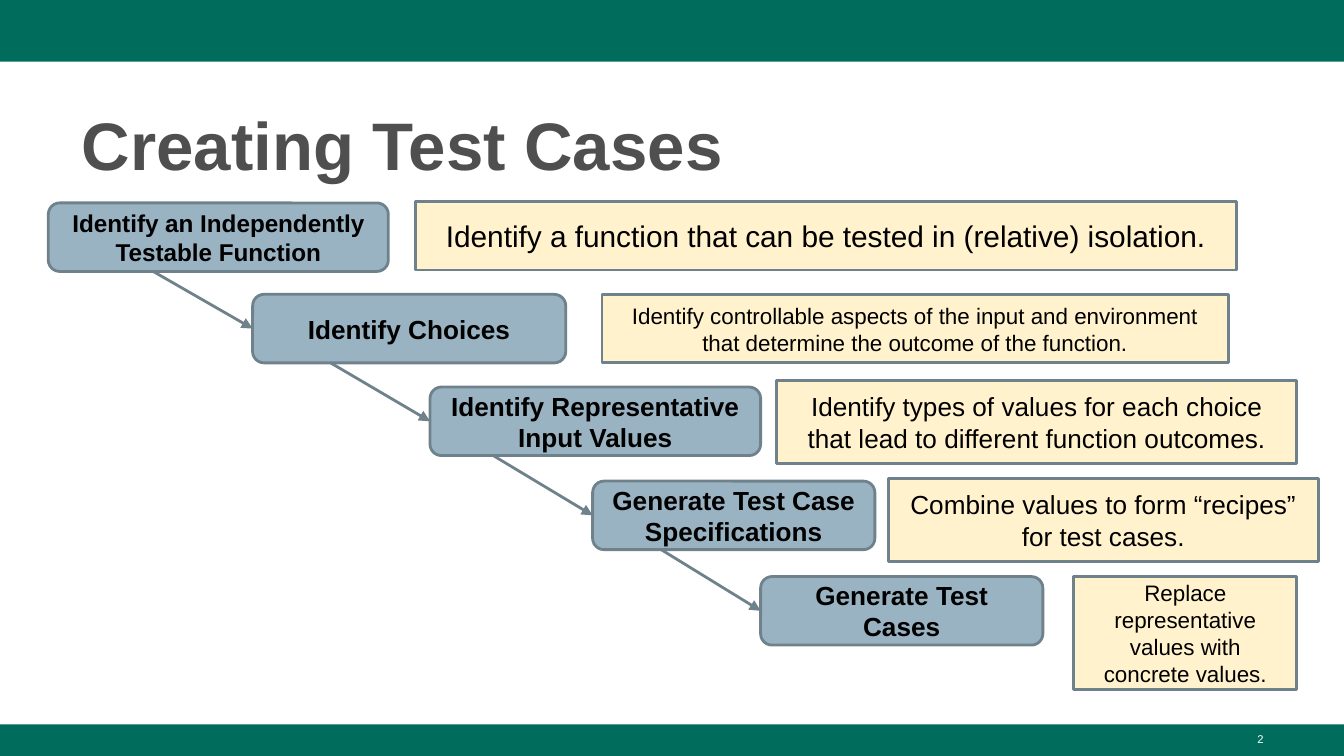
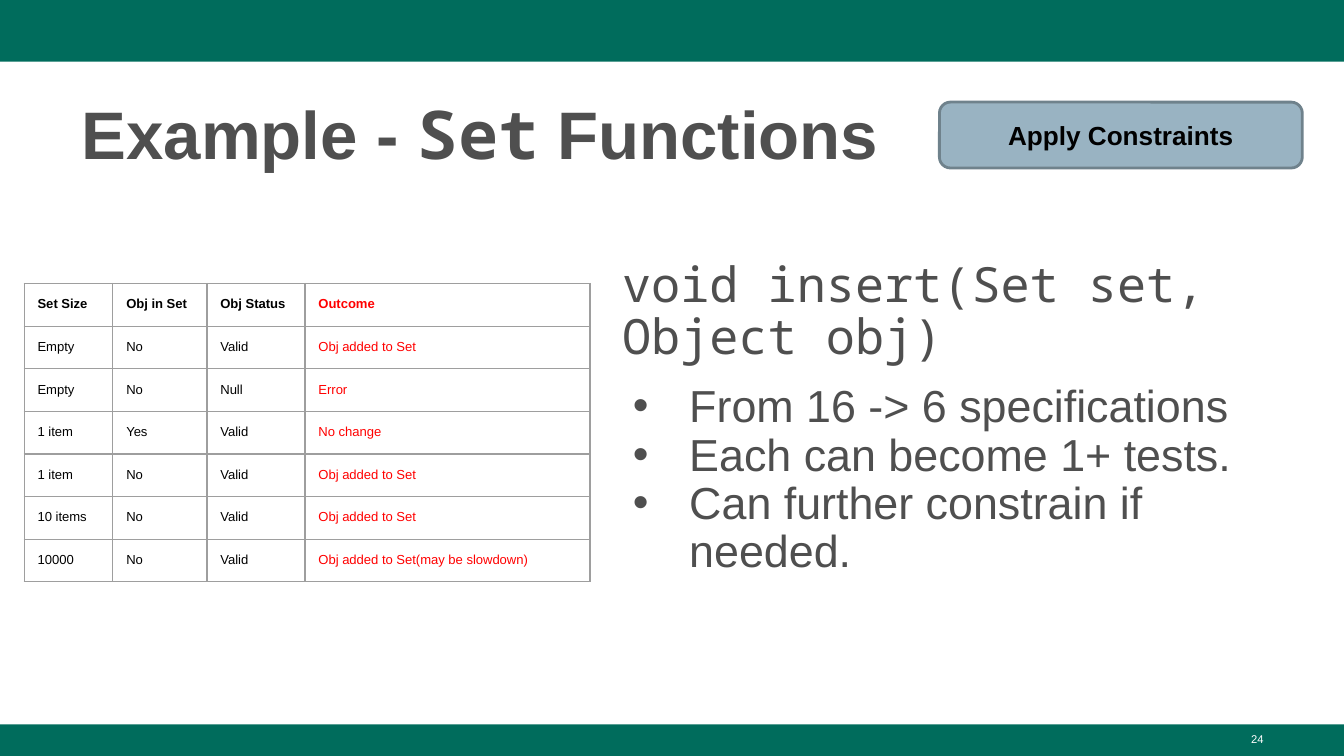
from lxml.etree import SubElement
from pptx import Presentation
from pptx.dml.color import RGBColor
from pptx.enum.shapes import MSO_CONNECTOR as Connector, MSO_SHAPE as Shape
from pptx.enum.text import MSO_ANCHOR as Anchor, PP_ALIGN as Align
from pptx.oxml.ns import qn
from pptx.util import Inches, Pt

GREEN = RGBColor(0x00, 0x6C, 0x5C)
GREY = RGBColor(0x4F, 0x4F, 0x4F)
STEEL = RGBColor(0x99, 0xB3, 0xC2)
OUTLINE = RGBColor(0x6F, 0x82, 0x8C)
CREAM = RGBColor(0xFF, 0xF2, 0xCC)
BLACK = RGBColor(0x00, 0x00, 0x00)
WHITE = RGBColor(0xFF, 0xFF, 0xFF)
RED = RGBColor(0xFF, 0x00, 0x00)
BORDER = RGBColor(0x9E, 0x9E, 0x9E)

SANS = "Arial"
MONO = "Noto Sans Mono"

# The slide is a grid of square cells.
COLUMNS, ROWS = 100, 56.25
CELL = Inches(0.1)


def grid(*counts):
    return [round(count * CELL) for count in counts]


def set_font(font, size, color, bold=False, name=SANS):
    font.name, font.size, font.bold = name, Pt(size), bold
    font.color.rgb = color


def set_insets(target, horizontal=1, vertical=1):
    target.margin_left = target.margin_right = round(horizontal * CELL)
    target.margin_top = target.margin_bottom = round(vertical * CELL)


class Deck:
    def __init__(self):
        self.presentation = Presentation()
        self.presentation.slide_width, self.presentation.slide_height = grid(COLUMNS, ROWS)
        self.slide = None

    def new_slide(self, title_parts, title_top, number):
        """Start a slide with its bands, title and number; title parts are (text, font name)."""
        self.slide = self.presentation.slides.add_slide(self.presentation.slide_layouts[6])
        self.box(Shape.RECTANGLE, 0, 0, COLUMNS, 4.6, GREEN)
        self.box(Shape.RECTANGLE, 0, 53.9, COLUMNS, ROWS - 53.9, GREEN)

        title = self.text_box(5.1, title_top, 89.9, 14 - title_top).paragraphs[0]
        title.line_spacing = 1.08
        for text, font_name in title_parts:
            run = title.add_run()
            run.text = text
            set_font(run.font, 36, GREY, True, font_name)

        footer = self.text_box(71.7, 54, 23.3, 2.25)
        footer.text = str(number)
        footer.paragraphs[0].alignment = Align.RIGHT
        set_font(footer.paragraphs[0].runs[0].font, 6, WHITE)

    def text_box(self, left, top, width, height):
        frame = self.slide.shapes.add_textbox(*grid(left, top, width, height)).text_frame
        frame.word_wrap = True
        set_insets(frame, vertical=0.5)
        return frame

    def box(self, kind, left, top, width, height, fill, line=None):
        shape = self.slide.shapes.add_shape(kind, *grid(left, top, width, height))
        shape.shadow.inherit = False
        shape.fill.solid()
        shape.fill.fore_color.rgb = fill
        if line is None:
            shape.line.fill.background()
        else:
            shape.line.color.rgb = line
            shape.line.width = Pt(1.5)
        return shape

    def label(self, kind, place, fill, text, size, bold=False):
        """Add an outlined box with centred text."""
        shape = self.box(kind, *place, fill, OUTLINE)
        frame = shape.text_frame
        frame.word_wrap = True
        frame.vertical_anchor = Anchor.MIDDLE
        set_insets(frame)
        frame.text = text
        paragraph = frame.paragraphs[0]
        paragraph.alignment = Align.CENTER
        set_font(paragraph.runs[0].font, size, BLACK, bold)
        return shape

    def step(self, place, text, size=14):
        return self.label(Shape.ROUNDED_RECTANGLE, place, STEEL, text, size, True)

    def note(self, place, text, size):
        return self.label(Shape.RECTANGLE, place, CREAM, text, size)

    def step_arrow(self, upper, lower):
        """Join the bottom edge of one step to the left side of the next."""
        start_x = lower.left - round(7.4 * CELL)
        start_y = upper.top + upper.height
        arrow = self.slide.shapes.add_connector(
            Connector.STRAIGHT, start_x, start_y, lower.left, lower.top + lower.height // 2)
        arrow.end_connect(lower, 1)
        arrow.line.color.rgb = OUTLINE
        arrow.line.width = Pt(1.5)
        properties = arrow.line._get_or_add_ln()
        SubElement(properties, qn("a:tailEnd"), type="triangle")
        SubElement(arrow._element.spPr, qn("a:effectLst"))

    def bullet(self, frame, text, size, space_before=0):
        paragraph = frame.add_paragraph()
        paragraph.text = text
        paragraph.line_spacing = 0.9
        paragraph.space_before = Pt(space_before)
        properties = paragraph._p.get_or_add_pPr()
        properties.set("marL", str(Inches(0.5)))
        properties.set("indent", str(Inches(-0.42)))
        color = SubElement(SubElement(properties, qn("a:buClr")), qn("a:srgbClr"))
        color.set("val", str(GREY))
        SubElement(properties, qn("a:buFont"), typeface=SANS)
        SubElement(properties, qn("a:buChar"), char="•")
        set_font(paragraph.runs[0].font, size, GREY)

    def table(self, left, top, column_widths, row_height, rows):
        """Add a bordered table with a bold first row and a red last column."""
        table = self.slide.shapes.add_table(
            len(rows), len(column_widths),
            *grid(left, top, sum(column_widths), row_height * len(rows))).table
        table.first_row = table.horz_banding = False
        for column, width in zip(table.columns, grid(*column_widths)):
            column.width = width
        for row_index, values in enumerate(rows):
            table.rows[row_index].height = round(row_height * CELL)
            for column_index, value in enumerate(values):
                cell = table.cell(row_index, column_index)
                cell.text = value
                set_insets(cell)
                color = RED if column_index == len(values) - 1 else BLACK
                set_font(cell.text_frame.paragraphs[0].runs[0].font, 7, color, row_index == 0)
                self.cell_borders(cell)
                cell.fill.background()

    def cell_borders(self, cell):
        properties = cell._tc.get_or_add_tcPr()
        for side in ("a:lnL", "a:lnR", "a:lnT", "a:lnB"):
            line = SubElement(properties, qn(side), w=str(Pt(0.75)))
            fill = SubElement(line, qn("a:solidFill"))
            SubElement(fill, qn("a:srgbClr"), val=str(BORDER))


def creating_test_cases(deck):
    deck.new_slide([("Creating Test Cases", SANS)], 6.7, 2)
    # Each step: left, top, width, text, size.
    steps = [
        (3.6, 15.1, 25.3, "Identify an Independently Testable Function", 13),
        (18.8, 21.9, 23.3, "Identify Choices", 14),
        (32, 28.8, 24.6, "Identify Representative Input Values", 14),
        (44.1, 35.8, 21, "Generate Test Case Specifications", 14),
        (56.6, 42.9, 21, "Generate Test Cases", 14),
    ]
    boxes = [deck.step((left, top, width, 5.1), text, size)
             for left, top, width, text, size in steps]
    for upper, lower in zip(boxes, boxes[1:]):
        deck.step_arrow(upper, lower)

    notes = [
        ((30.9, 15, 61.1, 5.1),
         "Identify a function that can be tested in (relative) isolation.", 16),
        ((44.8, 21.9, 46.6, 5.1),
         "Identify controllable aspects of the input and environment "
         "that determine the outcome of the function.", 12),
        ((57.8, 28.3, 38.7, 6.2),
         "Identify types of values for each choice "
         "that lead to different function outcomes.", 14),
        ((66.1, 35.6, 32, 6.2), "Combine values to form “recipes” for test cases.", 14),
        ((79.9, 42.9, 16.6, 8.4), "Replace representative values with concrete values.", 12),
    ]
    for place, text, size in notes:
        deck.note(place, text, size)


def set_functions(deck):
    deck.new_slide([("Example - ", SANS), ("Set", MONO), (" Functions", SANS)], 5.9, 24)

    body = deck.text_box(45.3, 18.9, 51.9, 24)
    body.text = "void insert(Set set, Object obj)"
    signature = body.paragraphs[0]
    signature.line_spacing = 0.9
    set_font(signature.runs[0].font, 26, GREY, name=MONO)
    deck.bullet(body, "From 16 -> 6 specifications", 24, space_before=10)
    deck.bullet(body, "Each can become 1+ tests.", 24)
    deck.bullet(body, "Can further constrain if needed.", 24)

    deck.step((69.9, 7.6, 27, 4.9), "Apply Constraints")
    deck.table(1.8, 21.1, [6.6, 7, 7.3, 21.2], 3.08, [
        ("Set Size", "Obj in Set", "Obj Status", "Outcome"),
        ("Empty", "No", "Valid", "Obj added to Set"),
        ("Empty", "No", "Null", "Error"),
        ("1 item", "Yes", "Valid", "No change"),
        ("1 item", "No", "Valid", "Obj added to Set"),
        ("10 items", "No", "Valid", "Obj added to Set"),
        ("10000", "No", "Valid", "Obj added to Set(may be slowdown)"),
    ])


def main():
    deck = Deck()
    creating_test_cases(deck)
    set_functions(deck)
    deck.presentation.save("out.pptx")


if __name__ == "__main__":
    main()
